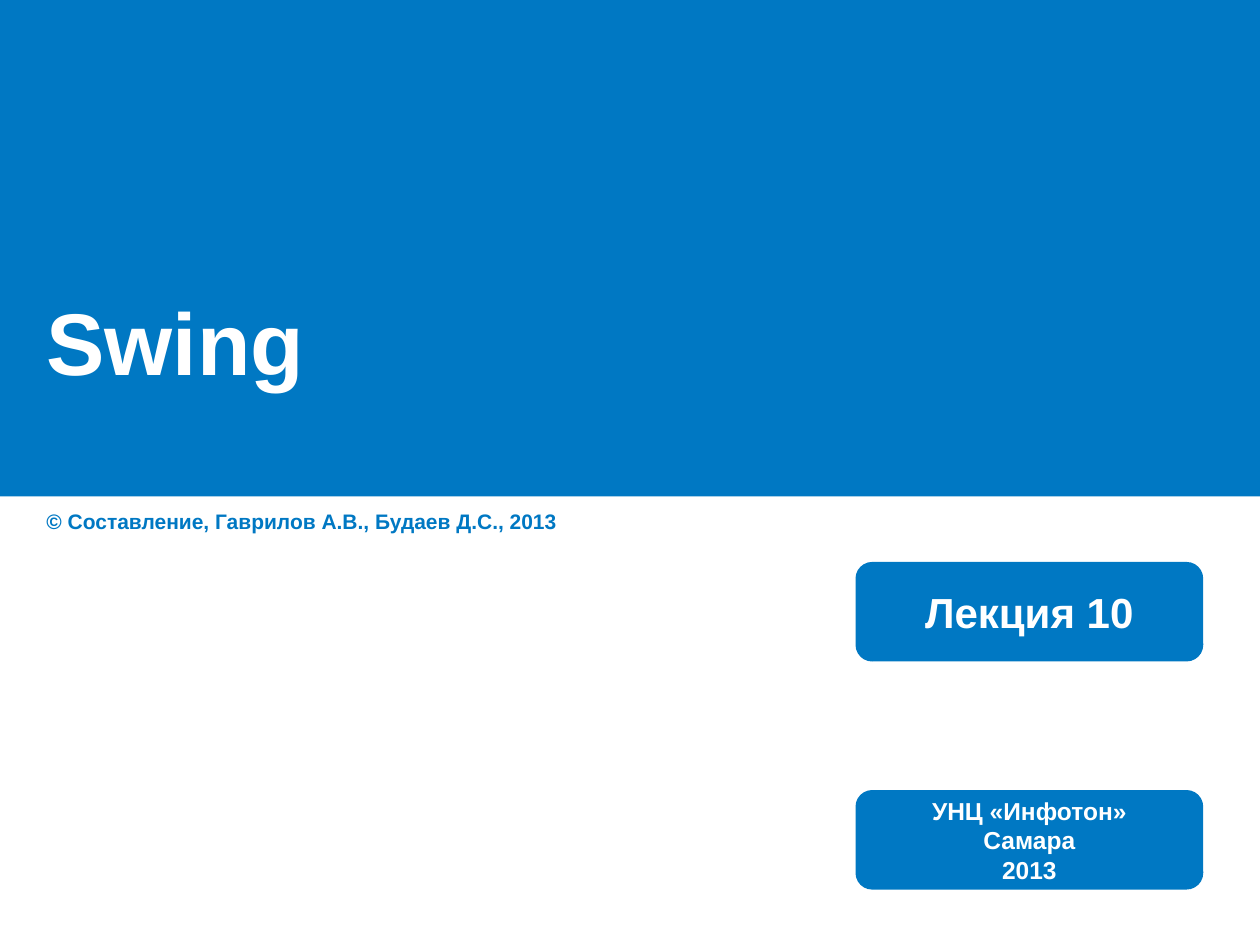
import pptx
import pptx.dml.color
import pptx.enum.shapes
import pptx.enum.text
import pptx.util

WIDTH, HEIGHT = 10, 7.5
BLUE, WHITE = "0078C3", "FFFFFF"
ANCHOR = pptx.enum.text.MSO_ANCHOR
ALIGN = pptx.enum.text.PP_ALIGN
SHAPE = pptx.enum.shapes.MSO_SHAPE


def colour(value):
    return pptx.dml.color.RGBColor.from_string(value)


def to_lengths(box):
    sides = (WIDTH, HEIGHT, WIDTH, HEIGHT)
    return [pptx.util.Inches(share * side) for share, side in zip(box, sides)]


def write(shape, lines, size, ink, align=ALIGN.LEFT, anchor=ANCHOR.MIDDLE, wrap=True):
    frame = shape.text_frame
    frame.word_wrap = wrap
    frame.auto_size = pptx.enum.text.MSO_AUTO_SIZE.NONE
    frame.vertical_anchor = anchor
    for index, line in enumerate(lines):
        para = frame.add_paragraph() if index else frame.paragraphs[0]
        para.alignment = align
        span = para.add_run()
        span.text = line
        span.font.name = "Arial"
        span.font.size = pptx.util.Pt(size)
        span.font.bold = True
        span.font.color.rgb = colour(ink)


def add_panel(page, kind, box):
    panel = page.shapes.add_shape(kind, *to_lengths(box))
    panel.shadow.inherit = False
    panel.fill.solid()
    panel.fill.fore_color.rgb = colour(BLUE)
    panel.line.fill.background()
    return panel


def add_header(page, band_box, title_box, text):
    band = add_panel(page, SHAPE.RECTANGLE, band_box)
    title = page.shapes.title
    title.element.addprevious(band.element)
    title.left, title.top, title.width, title.height = to_lengths(title_box)
    write(title, [text], 50, WHITE)


def add_credit(page, box, text):
    credit = page.shapes.add_textbox(*to_lengths(box))
    write(credit, [text], 12, BLUE, anchor=ANCHOR.TOP)


def add_badge(page, box, lines, size):
    badge = add_panel(page, SHAPE.ROUNDED_RECTANGLE, box)
    badge.adjustments[0] = 0.167
    write(badge, lines, size, WHITE, ALIGN.CENTER, wrap=False)


def main():
    deck = pptx.Presentation()
    deck.slide_width = pptx.util.Inches(WIDTH)
    deck.slide_height = pptx.util.Inches(HEIGHT)
    page = deck.slides.add_slide(deck.slide_layouts[5])
    page.background.fill.solid()
    page.background.fill.fore_color.rgb = colour(WHITE)

    left = 0.027
    add_header(page, (0, 0, 1, 3.94 / HEIGHT),
               (left, 1.49 / HEIGHT, 0.945, 2.42 / HEIGHT), "Swing")
    add_credit(page, (left, 3.99 / HEIGHT, 0.488, 0.04),
               "© Составление, Гаврилов А.В., Будаев Д.С., 2013")
    badges = [
        (4.46, ["Лекция 10"], 24),
        (6.27, ["УНЦ «Инфотон»", "Самара", "2013"], 14),
    ]
    for top, lines, size in badges:
        add_badge(page, (0.679, top / HEIGHT, 0.276, 0.79 / HEIGHT), lines, size)
    deck.save("out.pptx")


if __name__ == "__main__":
    main()
